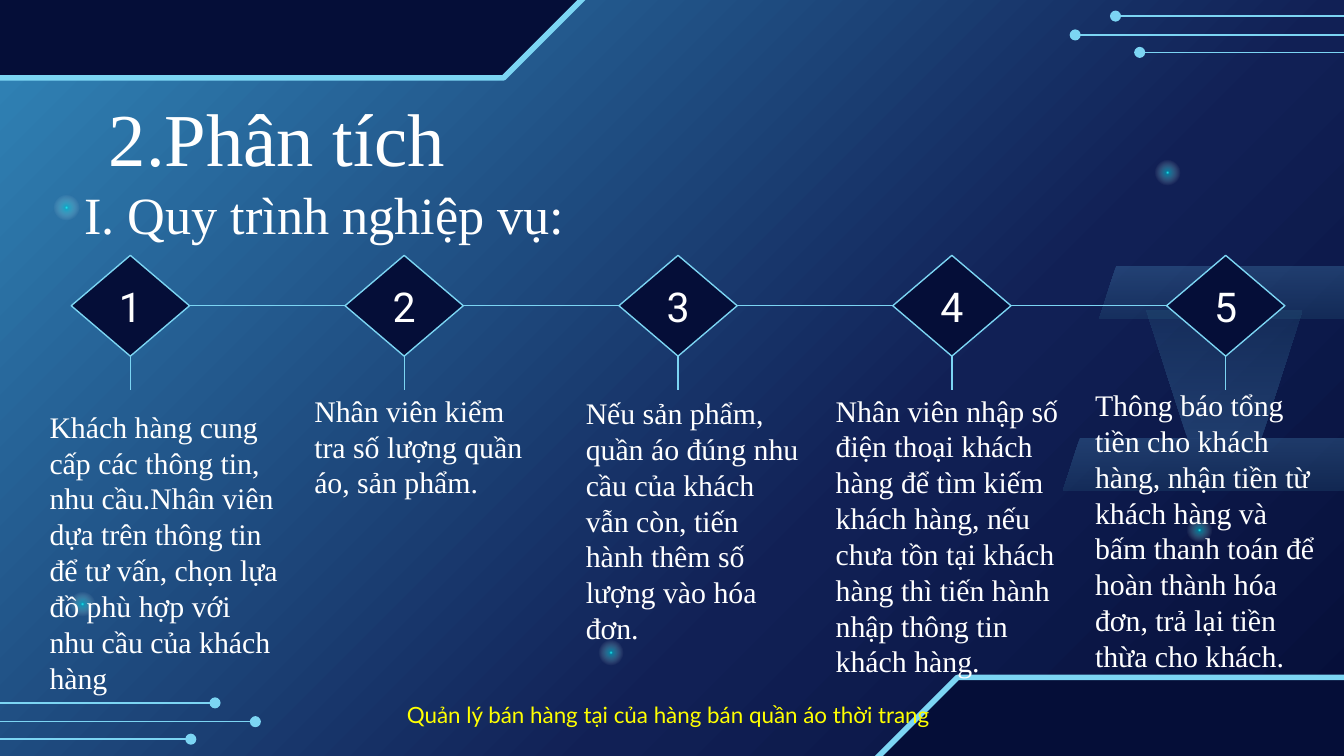
from lxml.etree import SubElement
from pptx import Presentation
from pptx.dml.color import RGBColor
from pptx.enum.shapes import MSO_CONNECTOR, MSO_SHAPE
from pptx.enum.text import MSO_ANCHOR, PP_ALIGN
from pptx.oxml.ns import qn
from pptx.util import Inches, Pt

COLORS = {
    "navy": "050E38", "indigo": "112055", "blue": "3186B9", "sky": "7CD5F3",
    "band_top": "59A4D3", "band_bottom": "2A5F80",
    "glow": "21FFFF", "teal": "05D8E7", "white": "FFFFFF", "yellow": "FFFF00",
}
SERIF = "Times New Roman"

# Text and box (left, top, width, height) of each step
STEPS = [
    ("Khách hàng cung cấp các thông tin, nhu cầu.Nhân viên dựa trên thông tin "
     "để tư vấn, chọn lựa đồ phù hợp với nhu cầu của khách hàng",
     (0.27, 2.9, 1.91, 2.41)),
    ("Nhân viên kiểm tra số lượng quần áo, sản phẩm.",
     (2.24, 2.9, 1.81, 0.84)),
    ("Nếu sản phẩm, quần áo đúng nhu cầu của khách vẫn còn, tiến hành thêm số "
     "lượng vào hóa đơn.",
     (4.26, 2.87, 1.81, 2)),
    ("Nhân viên nhập số điện thoại khách hàng để tìm kiếm khách hàng, nếu chưa "
     "tồn tại khách hàng thì tiến hành nhập thông tin khách hàng.",
     (6.12, 2.87, 1.96, 2.23)),
    ("Thông báo tổng tiền cho khách hàng, nhận tiền từ khách hàng và bấm thanh "
     "toán để hoàn thành hóa đơn, trả lại tiền thừa cho khách.",
     (8.05, 2.86, 1.9, 2.17)),
]
DIAMOND_LEFT, DIAMOND_TOP = 0.53, 1.9
DIAMOND_W, DIAMOND_H = 0.88, 0.75
DIAMOND_STEP = (8.68 - DIAMOND_LEFT) / (len(STEPS) - 1)
STEM_END = 2.9


def rgb(name):
    return RGBColor.from_string(COLORS[name])


def set_gradient(fill, element, stops, angle=None):
    """Fill with (position %, colour, opacity %) stops, circular without an angle."""
    fill.gradient()
    grad = next(element.iter(qn("a:gradFill")))
    for child in list(grad):
        grad.remove(child)
    stop_list = SubElement(grad, qn("a:gsLst"))
    for pos, color, opacity in stops:
        stop = SubElement(stop_list, qn("a:gs"), pos=str(pos * 1000))
        clr = SubElement(stop, qn("a:srgbClr"), val=COLORS[color])
        if opacity < 100:
            SubElement(clr, qn("a:alpha"), val=str(opacity * 1000))
    if angle is None:
        center = SubElement(grad, qn("a:path"), path="circle")
        SubElement(center, qn("a:fillToRect"),
                   l="50000", t="50000", r="50000", b="50000")
    else:
        SubElement(grad, qn("a:lin"), ang=str(angle * 60000), scaled="0")


def add_shape(s, kind, box, fill=None, line_width=None, adj=(), rotation=0):
    sp = s.shapes.add_shape(kind, *map(Inches, box))
    sp.shadow.inherit = False
    sp.rotation = rotation
    for i, value in enumerate(adj):
        sp.adjustments[i] = value
    if fill:
        sp.fill.solid()
        sp.fill.fore_color.rgb = rgb(fill)
    if line_width:
        sp.line.color.rgb = rgb("sky")
        sp.line.width = Pt(line_width)
    else:
        sp.line.fill.background()
    return sp


def add_line(s, start, end, dot=False):
    line = s.shapes.add_connector(MSO_CONNECTOR.STRAIGHT,
                                  *map(Inches, (*start, *end)))
    line.line.color.rgb = rgb("sky")
    line.line.width = Pt(0.75)
    if dot:
        SubElement(line.line._get_or_add_ln(), qn("a:tailEnd"), type="oval")
    SubElement(line._element.spPr, qn("a:effectLst"))
    return line


def set_text(sp, text, size, font=SERIF, color="white", align=PP_ALIGN.LEFT,
             anchor=MSO_ANCHOR.MIDDLE, side_inset=0.1, spacing=None):
    tf = sp.text_frame
    tf.word_wrap = True
    tf.vertical_anchor = anchor
    tf.margin_left = tf.margin_right = Inches(side_inset)
    tf.margin_top = tf.margin_bottom = Inches(0.1)
    p = tf.paragraphs[0]
    p.alignment = align
    if spacing:
        p.line_spacing = Pt(spacing)
    r = p.add_run()
    r.text = text
    r.font.size = Pt(size)
    r.font.name = font
    r.font.color.rgb = rgb(color)


def add_text(s, text, box, size, **fmt):
    set_text(s.shapes.add_textbox(*map(Inches, box)), text, size, **fmt)


def add_title(s, text):
    title = s.shapes.title
    title.left, title.top, title.width, title.height = map(
        Inches, (0.71, 0.53, 8.75, 0.97))
    set_text(title, text, 40)


def add_decoration(s):
    for left, top, rotation in ((6.42, 5.04, 0), (-0.74, -0.83, 180)):
        add_shape(s, MSO_SHAPE.SNIP_2_SAME_RECTANGLE, (left, top, 5.19, 1.41),
                  "navy", 3, (0.5, 0), rotation)

    for x, y in ((8, 0.26), (8.48, 0.39), (8.3, 0.12)):
        add_line(s, (x + 2.31, y), (x, y), dot=True)
    for x, y in ((1.9, 5.37), (1.42, 5.5), (1.6, 5.23)):
        add_line(s, (x - 2.31, y), (x, y), dot=True)

    for box, rotation in (((8.18, 1.98, 3.01, 0.39), 0),
                          ((8.53, 2.31, 1.16, 0.95), 180),
                          ((7.91, 3.26, 3.01, 0.39), 0)):
        band = add_shape(s, MSO_SHAPE.TRAPEZOID, box, adj=(0.32,),
                         rotation=rotation)
        set_gradient(band.fill, band._element,
                     [(0, "band_top", 25), (100, "band_bottom", 25)], 90)

    for x, y in ((0.4, 1.45), (8.83, 3.85), (4.45, 4.76), (0.52, 4.4),
                 (8.59, 1.19)):
        glow = add_shape(s, MSO_SHAPE.OVAL, (x, y, 0.19, 0.19))
        set_gradient(glow.fill, glow._element,
                     [(0, "glow", 100), (9, "teal", 48),
                      (69, "white", 0), (100, "white", 0)])


def add_timeline(s):
    previous = None
    for i, (text, box) in enumerate(STEPS):
        left = DIAMOND_LEFT + i * DIAMOND_STEP
        diamond = add_shape(s, MSO_SHAPE.DIAMOND,
                            (left, DIAMOND_TOP, DIAMOND_W, DIAMOND_H),
                            "navy", 0.75)
        set_text(diamond, str(i + 1), 22, font="Roboto",
                 align=PP_ALIGN.CENTER, side_inset=0)

        center = left + DIAMOND_W / 2
        stem = add_line(s, (center, DIAMOND_TOP + DIAMOND_H), (center, STEM_END))
        stem.begin_connect(diamond, 2)
        if previous:
            middle = DIAMOND_TOP + DIAMOND_H / 2
            link = add_line(s, (left - DIAMOND_STEP + DIAMOND_W, middle),
                            (left, middle))
            link.begin_connect(previous, 3)
            link.end_connect(diamond, 1)
        previous = diamond

        add_text(s, text, box, 16, spacing=19.2)


def main():
    prs = Presentation()
    prs.slide_width = Inches(10)
    prs.slide_height = prs.slide_width * 9 // 16
    s = prs.slides.add_slide(prs.slide_layouts[5])
    set_gradient(s.background.fill, s.element,
                 [(0, "blue", 100), (64, "indigo", 100), (100, "navy", 100)], 45)
    add_decoration(s)
    add_text(s, "Quản lý bán hàng tại của hàng bán quần áo thời trang",
             (1.41, 5.19, 7.13, 0.25), 12, font="Lato", color="yellow",
             align=PP_ALIGN.CENTER)
    add_title(s, "2.Phân tích")
    add_text(s, "I. Quy trình nghiệp vụ:", (0.53, 1.26, 8.75, 0.73), 28,
             anchor=MSO_ANCHOR.TOP)
    add_timeline(s)
    prs.save("out.pptx")


if __name__ == "__main__":
    main()
